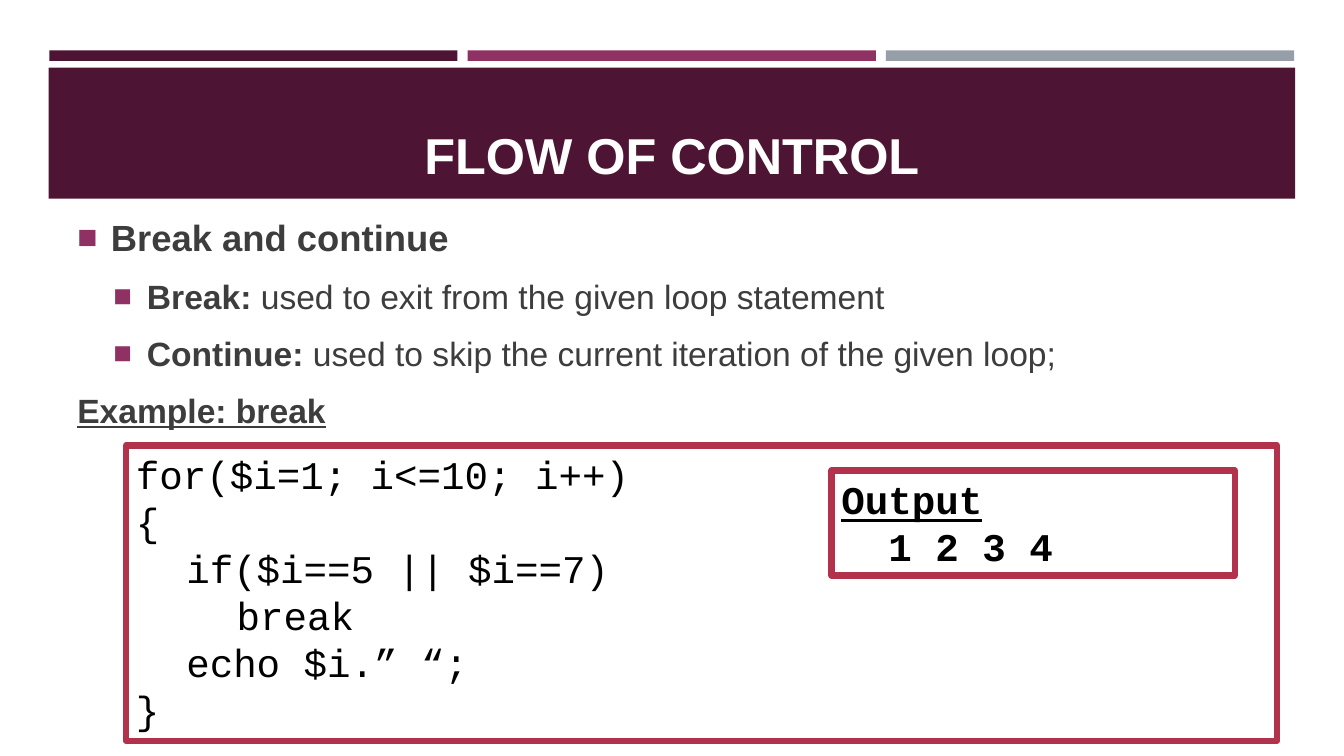
"""Build the slide on break and continue in loops."""
import pptx
import pptx.util
import pptx.dml.color
import pptx.enum.shapes
import pptx.enum.text
from lxml import etree
from dataclasses import dataclass

Pt = pptx.util.Pt
RGB = pptx.dml.color.RGBColor.from_string


@dataclass(frozen=True)
class Theme:
    plum: str = "4D1434"
    magenta: str = "903163"
    grey: str = "969FA7"
    frame: str = "B2324B"
    body: str = "3D3D3D"
    white: str = "FFFFFF"
    black: str = "000000"
    sans: str = "Arial"
    mono: str = "Courier New"
    title_size: int = 36
    topic_size: int = 26
    point_size: int = 24
    code_size: int = 28


theme = Theme()
deck = pptx.Presentation()
deck.slide_width, deck.slide_height = Pt(960), Pt(540)
slide = deck.slides.add_slide(deck.slide_layouts[6])


def add_box(left, top, width, height, fill, line=None):
    box = slide.shapes.add_shape(
        pptx.enum.shapes.MSO_SHAPE.RECTANGLE, Pt(left), Pt(top), Pt(width), Pt(height))
    box.shadow.inherit = False
    box.fill.solid()
    box.fill.fore_color.rgb = RGB(fill)
    if line:
        box.line.color.rgb = RGB(line)
        box.line.width = Pt(4.5)
    else:
        box.line.fill.background()
    return box


def style(run, face, size, color, bold=False, underline=False):
    run.font.name = face
    run.font.size = Pt(size)
    run.font.color.rgb = RGB(color)
    run.font.bold = bold
    run.font.underline = underline


for column, color in enumerate((theme.plum, theme.magenta, theme.grey)):
    add_box(35.2 + column * 298.8, 36, 291.6, 7.5, color)

banner = add_box(34.8, 48.4, 890.4, 93.6, theme.plum)
heading = slide.shapes.add_textbox(Pt(46), Pt(55.4), Pt(868), Pt(80)).text_frame
heading.word_wrap = True
heading.vertical_anchor = pptx.enum.text.MSO_ANCHOR.BOTTOM
heading.text = "FLOW OF CONTROL"
heading.paragraphs[0].alignment = pptx.enum.text.PP_ALIGN.CENTER
style(heading.paragraphs[0].runs[0], theme.sans, theme.title_size, theme.white, True)

points = [
    (24, theme.topic_size, "Break and continue", "", False),
    (49.7, theme.point_size, "Break: ", "used to exit from the given loop statement", False),
    (49.7, theme.point_size, "Continue: ",
     "used to skip the current iteration of the given loop;", False),
    (0, theme.point_size, "Example: break", "", True),
]
explanation = slide.shapes.add_textbox(Pt(48.2), Pt(150), Pt(864), Pt(366)).text_frame
explanation.word_wrap = True
for number, (indent, size, term, meaning, underline) in enumerate(points):
    point = explanation.paragraphs[0] if number == 0 else explanation.add_paragraph()
    point.space_before, point.space_after = Pt(6), Pt(6)
    for words, bold in ((term, True), (meaning, False)):
        if words:
            run = point.add_run()
            run.text = words
            style(run, theme.sans, size, theme.body, bold, underline)
    if indent:
        properties = point._p.get_or_add_pPr()
        properties.set("marL", str(Pt(indent)))
        properties.set("indent", str(Pt(-24)))
        for tag, attribute, value in (("buSzPct", "val", "92000"),
                                      ("buFont", "typeface", theme.sans),
                                      ("buChar", "char", "■")):
            etree.SubElement(properties, pptx.oxml.ns.qn("a:" + tag)).set(attribute, value)
        bullet_color = etree.Element(pptx.oxml.ns.qn("a:buClr"))
        etree.SubElement(bullet_color, pptx.oxml.ns.qn("a:srgbClr")).set("val", theme.magenta)
        properties.find(pptx.oxml.ns.qn("a:buSzPct")).addprevious(bullet_color)

loop_code = ["for($i=1; i<=10; i++)", "{", "\tif($i==5 || $i==7)", "\t\tbreak",
             "\techo $i.” “;", "}"]
panels = [
    ((90, 318.2, 822.2, 211), loop_code, False),
    ((594, 336.2, 288, 74.9), ["Output", "1 2 3 4"], True),
]
for place, lines, is_output in panels:
    panel = add_box(*place, theme.white, theme.frame).text_frame
    panel.word_wrap = True
    panel.vertical_anchor = pptx.enum.text.MSO_ANCHOR.TOP
    panel.text = "\n".join(lines)
    for number, line in enumerate(panel.paragraphs):
        line.alignment = pptx.enum.text.PP_ALIGN.LEFT
        style(line.runs[0], theme.mono, theme.code_size, theme.black,
              is_output, is_output and number == 0)
    if is_output:
        panel.paragraphs[1]._p.get_or_add_pPr().set("marL", str(Pt(33.6)))

deck.save("out.pptx")
